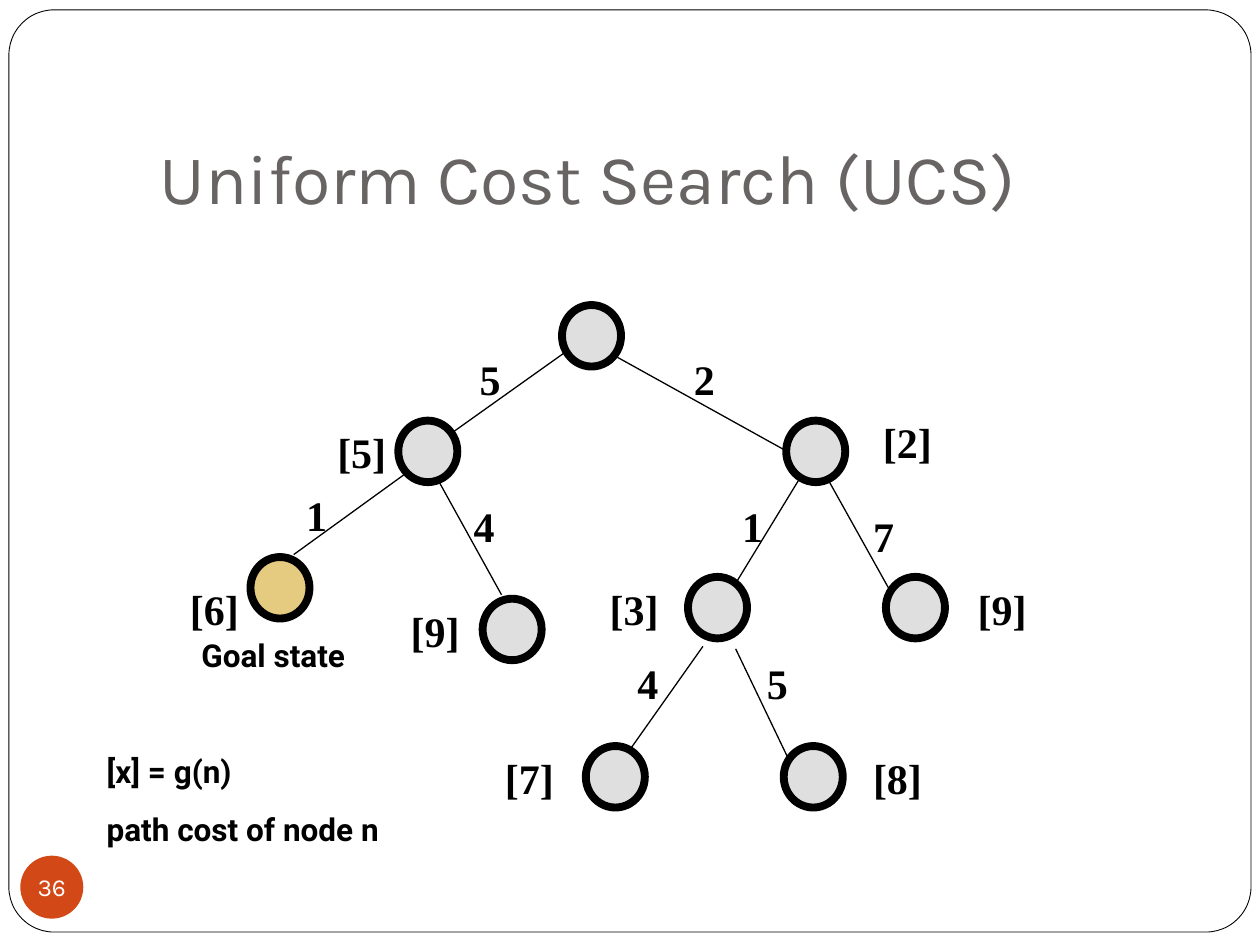
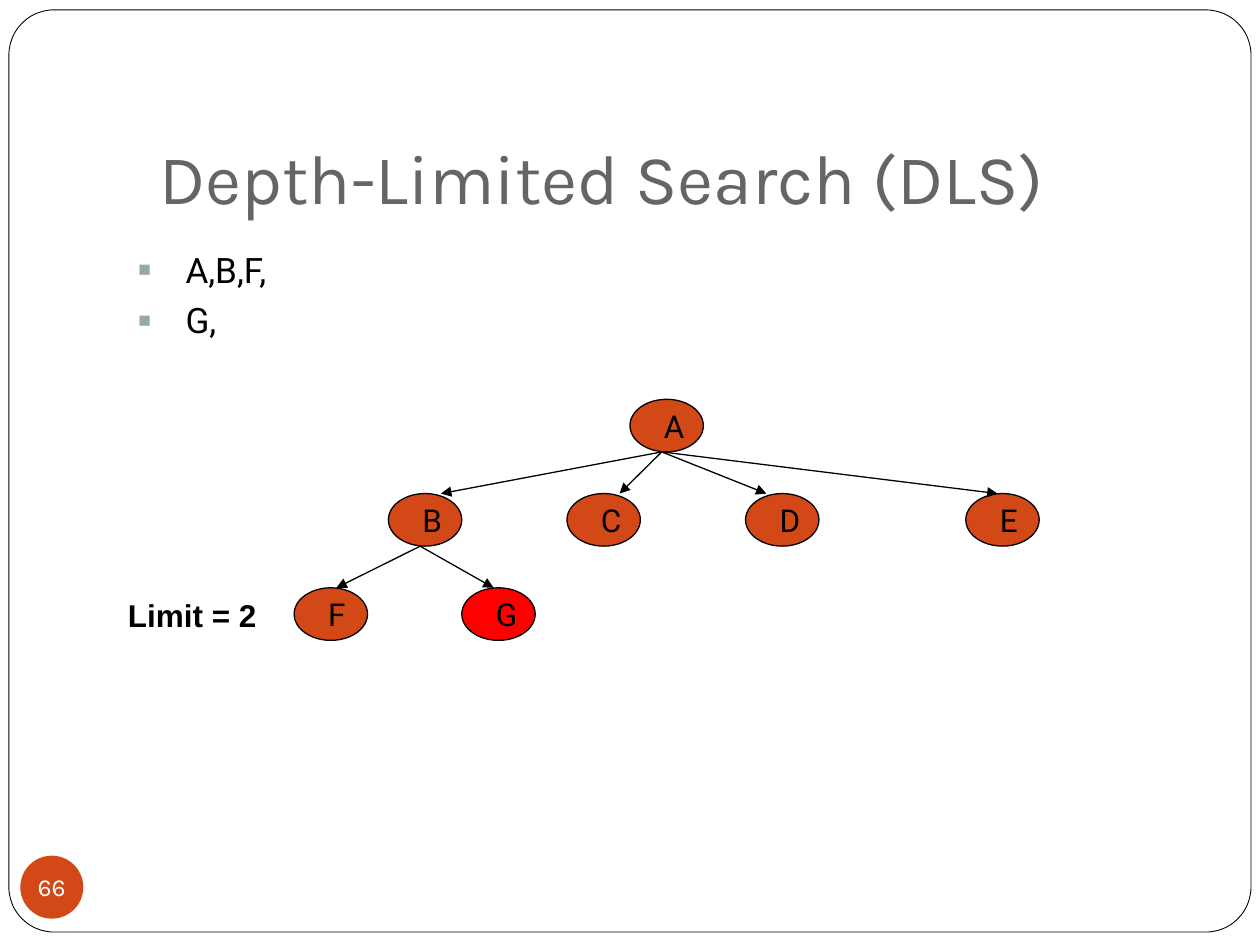
"""Build two slides on tree search: uniform cost and depth-limited."""
from dataclasses import dataclass

from lxml import etree
from pptx import Presentation
from pptx.dml.color import RGBColor
from pptx.enum import shapes, text
from pptx.oxml.ns import qn
from pptx.util import Cm, Pt


@dataclass(frozen=True)
class Theme:
    """Colours, fonts and type sizes of both slides."""
    ink: str = "000000"
    paper: str = "FFFFFF"
    title: str = "696464"
    accent: str = "D34817"
    bullet: str = "96A9A9"
    visited: str = "C0C0C0"
    goal: str = "CC9900"
    found: str = "FF0000"
    heading_font: str = "Karla"
    body_font: str = "Roboto"
    cost_font: str = "Times New Roman"
    limit_font: str = "Arial"
    title_size: int = 40
    cost_size: int = 24
    body_size: int = 20
    note_size: int = 18
    number_size: int = 14
    thin: float = 0.75
    thick: float = 4.5


THEME = Theme()
OVAL = shapes.MSO_SHAPE.OVAL
LEFT, CENTER = text.PP_ALIGN.LEFT, text.PP_ALIGN.CENTER
INSETS = (0.25, 0.13, 0.25, 0.13)

UCS_TITLE, UCS_NUMBER = "Uniform Cost Search (UCS)", "36"
COST_NODE_SIZE = (1.19, 1.24)
COST_NODES = [
    (11.33, 6.15), (8.03, 8.48), (15.85, 8.48), (17.86, 11.63), (13.87, 11.63),
    (15.8, 15.04), (11.81, 15.04), (9.73, 12.07),
]
GOAL_NODE = (5.05, 11.23)
COST_EDGES = [
    ((11.38, 7.11), (9.09, 8.74)),
    ((12.37, 7.16), (15.85, 9.09)),
    ((8.2, 9.53), (5.92, 11.18)),
    ((8.86, 9.73), (10.11, 11.99)),
    ((16.13, 9.63), (14.83, 11.76)),
    ((16.71, 9.7), (17.96, 11.94)),
    ((14.17, 13.03), (12.7, 15.11)),
    ((14.83, 13.08), (15.88, 15.27)),
]
STEP_COSTS = [
    ("5", 9.42, 6.99), ("2", 13.74, 6.99), ("1", 5.92, 9.73), ("4", 9.3, 9.96),
    ("1", 14.71, 9.96), ("7", 17.35, 10.16), ("4", 12.6, 13.13), ("5", 15.21, 13.13),
]
PATH_COSTS = [
    ("[5]", 6.55, 8.46), ("[2]", 17.55, 8.26), ("[9]", 19.46, 11.63), ("[3]", 12.04, 11.63),
    ("[7]", 9.93, 15.04), ("[8]", 17.35, 15.04), ("[9]", 8.03, 12.07), ("[6]", 3.58, 11.63),
]
UCS_NOTES = [
    (["[x] = g(n)", "path cost of node n"], (1.9, 15.04, 6.98, 2.18)),
    (["Goal state"], (3.81, 12.7, 4.01, 1.02)),
]

DLS_TITLE, DLS_NUMBER = "Depth-Limited Search (DLS)", "66"
VISITS = ["A,B,F,", "G,"]
LIMIT = "Limit = 2"
LETTER_NODE_SIZE = (1.48, 1.06)
LETTER_TOP, LEVEL_STEP, ARROW_START = 8.05, 1.9, 0.64
LETTER_NODES = {
    "A": (12.7, 0), "B": (7.83, 1), "C": (11.43, 1), "D": (15.03, 1),
    "E": (19.47, 1), "F": (5.93, 2), "G": (9.31, 2),
}
ARROWS = [
    ("A", "B", 1.06), ("A", "C", 1.06), ("A", "D", 0.42),
    ("A", "E", 0.64), ("B", "F", 0.85), ("B", "G", 0.64),
]


def color(code):
    return RGBColor.from_string(code)


def write(shape, lines, font, size, ink=THEME.ink, bold=False, align=LEFT,
          insets=INSETS, anchor=text.MSO_ANCHOR.TOP, wrap=True, gap=0):
    frame = shape.text_frame
    frame.auto_size = text.MSO_AUTO_SIZE.NONE
    frame.word_wrap = wrap
    frame.vertical_anchor = anchor
    (frame.margin_left, frame.margin_top,
     frame.margin_right, frame.margin_bottom) = map(Cm, insets)
    frame.text = "\n".join(lines)
    for index, para in enumerate(frame.paragraphs):
        para.alignment = align
        para.space_before = Pt(gap if index else 0)
        para.font.name, para.font.size, para.font.bold = font, Pt(size), bold
        para.font.color.rgb = color(ink)


def move(shape, left, top, width, height):
    shape.left, shape.top, shape.width, shape.height = map(Cm, (left, top, width, height))


def add_label(page, lines, area, font, size, **style):
    write(page.shapes.add_textbox(*map(Cm, area)), lines, font, size, **style)


def add_shape(page, kind, area, fill=None, line=None, opacity=None):
    shape = page.shapes.add_shape(kind, *map(Cm, area))
    shape.shadow.inherit = False
    if fill:
        shape.fill.solid()
        shape.fill.fore_color.rgb = color(fill)
    else:
        shape.fill.background()
    if line:
        shape.line.color.rgb = color(THEME.ink)
        shape.line.width = Pt(line)
    else:
        shape.line.fill.background()
    if opacity:
        tint = shape.fill._xPr.find(f"{qn('a:solidFill')}/{qn('a:srgbClr')}")
        etree.SubElement(tint, qn("a:alpha"), val=str(opacity * 1000))
    return shape


def add_line(page, start, end, arrow=False):
    line = page.shapes.add_connector(shapes.MSO_CONNECTOR.STRAIGHT, *map(Cm, start + end))
    line.line.color.rgb = color(THEME.ink)
    line.line.width = Pt(THEME.thin)
    if arrow:
        etree.SubElement(line.line._get_or_add_ln(), qn("a:tailEnd"), type="triangle")
    etree.SubElement(line._element.spPr, qn("a:effectLst"))


def add_page(deck, layout, title, number):
    page = deck.slides.add_slide(deck.slide_layouts.get_by_name(layout))
    border = add_shape(page, shapes.MSO_SHAPE.ROUNDED_RECTANGLE,
                       (0.18, 0.2, 25.04, 18.59), line=0.5)
    border.adjustments[0] = 0.049
    move(page.shapes.title, 2.97, 1.47, 21.59, 3.18)
    write(page.shapes.title, [title], THEME.heading_font, THEME.title_size, THEME.title,
          insets=(0.25, 0.13, 0.25, 0.25), anchor=text.MSO_ANCHOR.BOTTOM)
    badge = add_shape(page, OVAL, (0.41, 17.25, 1.27, 1.27), THEME.accent)
    write(badge, [number], THEME.heading_font, THEME.number_size, THEME.paper, align=CENTER,
          insets=(0, 0, 0, 0), anchor=text.MSO_ANCHOR.MIDDLE, wrap=False)
    return page


def add_bullets(body, lines):
    body.text_frame.text = "\n".join(lines)
    write(body, lines, THEME.body_font, THEME.body_size, gap=5)
    for para in body.text_frame.paragraphs:
        props = para._p.get_or_add_pPr()
        props.set("marL", str(Cm(0.95)))
        props.set("indent", str(Cm(-0.95)))
        tint = etree.Element(qn("a:buClr"))
        etree.SubElement(tint, qn("a:srgbClr"), val=THEME.bullet)
        size = etree.Element(qn("a:buSzPct"), val="60000")
        mark = etree.Element(qn("a:buChar"), char="■")
        for element in (tint, size, mark):
            props.find(qn("a:defRPr")).addprevious(element)


def build_uniform_cost(deck):
    page = add_page(deck, "Title Only", UCS_TITLE, UCS_NUMBER)
    for start, end in COST_EDGES:
        add_line(page, start, end)
    for place in COST_NODES:
        add_shape(page, OVAL, place + COST_NODE_SIZE, THEME.visited, THEME.thick, opacity=50)
    add_shape(page, OVAL, GOAL_NODE + COST_NODE_SIZE, THEME.goal, THEME.thick, opacity=50)
    for costs, width in ((STEP_COSTS, 0.93), (PATH_COSTS, 1.5)):
        for cost, left, top in costs:
            add_label(page, [cost], (left, top, width, 1.27), THEME.cost_font,
                      THEME.cost_size, bold=True, wrap=False)
    for lines, area in UCS_NOTES:
        add_label(page, lines, area, THEME.body_font, THEME.note_size, bold=True, gap=11.2)


def build_depth_limited(deck):
    page = add_page(deck, "Title and Content", DLS_TITLE, DLS_NUMBER)
    body = page.placeholders[1]
    move(body, 2.54, 4.87, 21.59, 2.33)
    add_bullets(body, VISITS)
    places = {letter: (left, LETTER_TOP + level * LEVEL_STEP)
              for letter, (left, level) in LETTER_NODES.items()}
    for letter, place in places.items():
        fill = THEME.found if letter == "G" else THEME.accent
        node = add_shape(page, OVAL, place + LETTER_NODE_SIZE, fill, THEME.thin)
        write(node, [letter], THEME.body_font, THEME.note_size, insets=(0.47, 0, 0, 0),
              anchor=text.MSO_ANCHOR.MIDDLE, wrap=False)
    for parent, child, landing in ARROWS:
        left, top = places[parent]
        child_left, child_top = places[child]
        add_line(page, (left + ARROW_START, top + LETTER_NODE_SIZE[1]),
                 (child_left + landing, child_top), arrow=True)
    add_label(page, [LIMIT], (2.33, 11.89, 3.39, 1.02), THEME.limit_font,
              THEME.note_size, bold=True)


def main():
    deck = Presentation()
    deck.slide_width, deck.slide_height = Cm(25.4), Cm(19.05)
    build_uniform_cost(deck)
    build_depth_limited(deck)
    deck.save("out.pptx")


if __name__ == "__main__":
    main()
